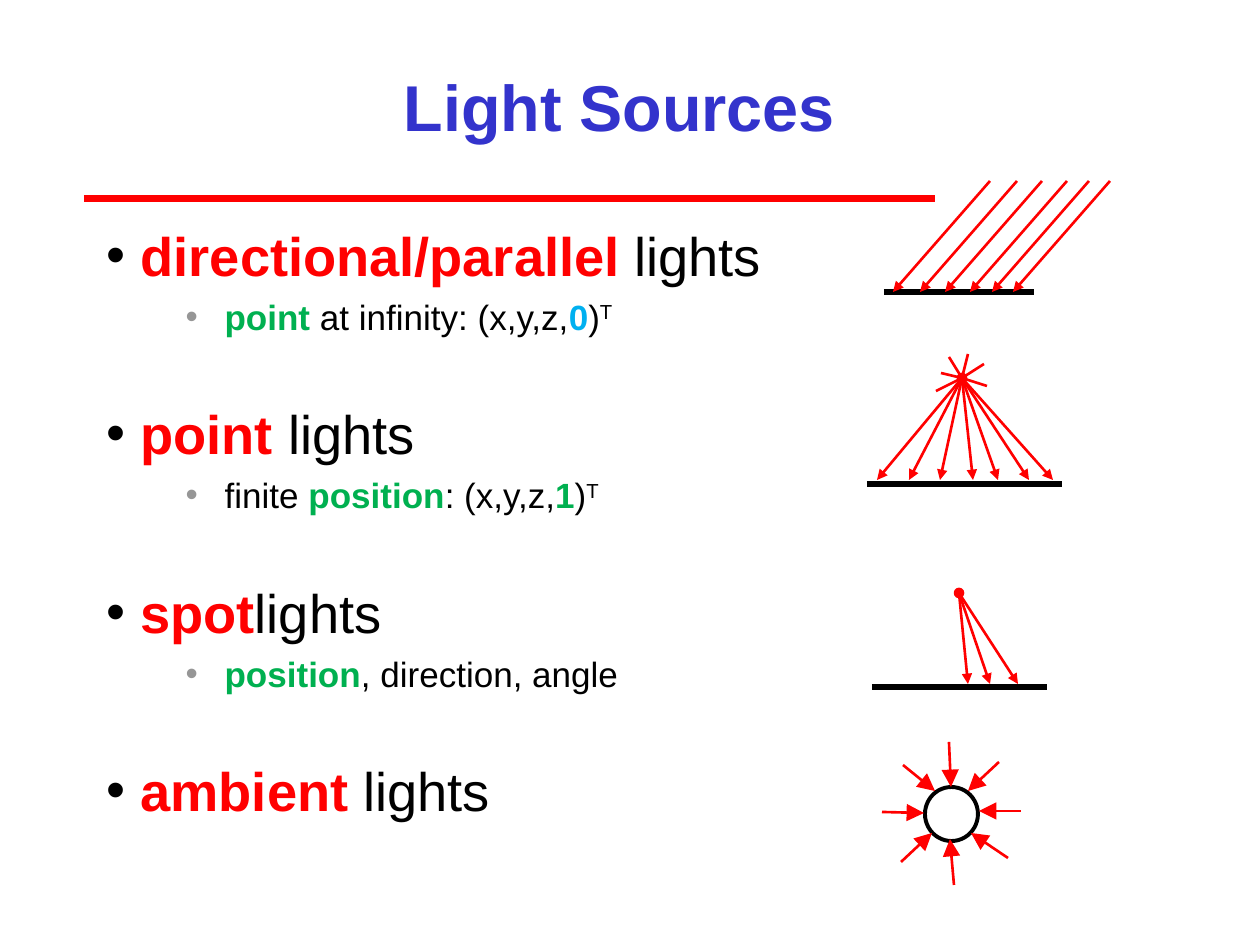
from dataclasses import dataclass

from lxml import etree
from pptx import Presentation
from pptx.dml.color import RGBColor
from pptx.enum.shapes import MSO_CONNECTOR, MSO_SHAPE
from pptx.enum.text import MSO_ANCHOR, MSO_AUTO_SIZE, PP_ALIGN
from pptx.oxml.ns import qn
from pptx.util import Emu, Pt

STRAIGHT = MSO_CONNECTOR.STRAIGHT
OVAL = MSO_SHAPE.OVAL
TOP, MIDDLE = MSO_ANCHOR.TOP, MSO_ANCHOR.MIDDLE
NO_AUTOFIT = MSO_AUTO_SIZE.NONE
CENTER, LEFT = PP_ALIGN.CENTER, PP_ALIGN.LEFT

PX_PER_INCH = 126


@dataclass(frozen=True)
class Theme:
    font: str = "Arial"
    title: str = "3333CC"
    red: str = "FF0000"
    green: str = "00B050"
    blue: str = "00B0F0"
    black: str = "000000"
    bullet_gray: str = "969696"
    title_size: int = 37
    heading_size: int = 31
    detail_size: int = 20
    ray_width: float = 1.5
    circle_width: float = 2.25
    ground_width: float = 3
    rule_width: float = 4


THEME = Theme()

# Each entry: heading runs, then detail runs; a run is (text, style)
LIGHTS = [
    ([("directional/parallel ", "red"), ("lights", "")],
     [("point", "green"), (" at infinity: (x,y,z,", ""), ("0", "blue"),
      (")", ""), ("T", "super")]),
    ([("point ", "red"), ("lights", "")],
     [("finite ", ""), ("position", "green"), (": (x,y,z,", ""),
      ("1", "green"), (")", ""), ("T", "super")]),
    ([("spot", "red"), ("lights", "")],
     [("position", "green"), (", direction, angle", "")]),
    ([("ambient ", "red"), ("lights", "")], []),
]


def px(length):
    return Emu(round(length * 914400 / PX_PER_INCH))


def color(value):
    return RGBColor.from_string(value)


def place(shape, left, top, width, height):
    shape.left, shape.top = px(left), px(top)
    shape.width, shape.height = px(width), px(height)


# Text
def add_run(paragraph, text, size, fill, bold=False):
    run = paragraph.add_run()
    run.text = text
    run.font.name = THEME.font
    run.font.size = Pt(size)
    run.font.bold = bold
    run.font.color.rgb = color(fill)
    return run


def set_bullet(paragraph, left, hanging, fill):
    properties = paragraph._p.get_or_add_pPr()
    properties.set("marL", str(px(left)))
    properties.set("indent", str(-px(hanging)))
    bullet_color = etree.SubElement(properties, qn("a:buClr"))
    etree.SubElement(bullet_color, qn("a:srgbClr")).set("val", fill)
    etree.SubElement(properties, qn("a:buFont")).set("typeface", THEME.font)
    etree.SubElement(properties, qn("a:buChar")).set("char", "•")


def add_styled_runs(paragraph, runs, size):
    for text, style in runs:
        highlighted = style in ("red", "green", "blue")
        fill = getattr(THEME, style) if highlighted else THEME.black
        run = add_run(paragraph, text, size, fill, highlighted)
        if style == "super":
            run.font._element.set("baseline", "30000")


def fill_title(title):
    place(title, 189, 32, 861, 147)
    title.text_frame.vertical_anchor = MIDDLE
    title.text_frame.auto_size = NO_AUTOFIT
    paragraph = title.text_frame.paragraphs[0]
    paragraph.alignment = CENTER
    add_run(paragraph, "Light Sources", THEME.title_size, THEME.title, True)


def fill_body(body):
    place(body, 94, 210, 687, 651)
    frame = body.text_frame
    frame.word_wrap = True
    frame.auto_size = NO_AUTOFIT
    frame.vertical_anchor = TOP
    frame.margin_top = px(12)
    for index, (heading_runs, detail_runs) in enumerate(LIGHTS):
        heading = frame.add_paragraph() if index else frame.paragraphs[0]
        heading.alignment = LEFT
        heading.space_before = Pt(36 if index else 0)
        set_bullet(heading, 34, 34, THEME.black)
        add_styled_runs(heading, heading_runs, THEME.heading_size)
        if detail_runs:
            detail = frame.add_paragraph()
            detail.level = 1
            detail.alignment = LEFT
            detail.space_before = Pt(4.7)
            set_bullet(detail, 118, 39, THEME.bullet_gray)
            add_styled_runs(detail, detail_runs, THEME.detail_size)


# Drawing elements
def add_line(shapes, start, end, fill, width, arrow_size=None):
    line = shapes.add_connector(STRAIGHT, *map(px, start + end))
    line.line.color.rgb = color(fill)
    line.line.width = Pt(width)
    if arrow_size:
        tail = etree.SubElement(line.line._get_or_add_ln(), qn("a:tailEnd"))
        tail.set("type", "triangle")
        tail.set("w", arrow_size)
        tail.set("len", arrow_size)
    etree.SubElement(line._element.spPr, qn("a:effectLst"))


def add_ray(shapes, start, end, arrow_size="med"):
    add_line(shapes, start, end, THEME.red, THEME.ray_width, arrow_size)


def add_ground(shapes, left, right, y):
    add_line(shapes, (left, y), (right, y), THEME.black, THEME.ground_width)


def add_circle(shapes, left, top, width, height, line, line_width, fill=None):
    circle = shapes.add_shape(OVAL, *map(px, (left, top, width, height)))
    circle.shadow.inherit = False
    if fill:
        circle.fill.solid()
        circle.fill.fore_color.rgb = color(fill)
    else:
        circle.fill.background()
    circle.line.color.rgb = color(line)
    circle.line.width = Pt(line_width)


def add_source_dot(shapes, center):
    x, y = center
    add_circle(shapes, x - 4, y - 4, 8, 8, THEME.red, THEME.ray_width, THEME.red)


# The four light diagrams
def draw_directional(shapes):
    add_ground(shapes, 884, 1034, 292)
    for x in (990, 1017, 1042, 1067, 1089, 1110):
        add_ray(shapes, (x, 181), (x - 97, 292))


def draw_point(shapes):
    source = (962, 378)
    add_ground(shapes, 867, 1062, 484)
    add_source_dot(shapes, source)
    for x in (877, 909, 940, 973, 998, 1029, 1053):
        add_ray(shapes, source, (x, 480))
    for end in ((936, 391), (941, 373), (949, 357),
                (968, 354), (984, 364), (987, 386)):
        add_ray(shapes, source, end, None)


def draw_spot(shapes):
    source = (959, 593)
    for x in (968, 990, 1018):
        add_ray(shapes, source, (x, 684))
    add_ground(shapes, 872, 1047, 687)
    add_source_dot(shapes, source)


def draw_ambient(shapes):
    add_circle(shapes, 925, 787, 53, 54, THEME.black, THEME.circle_width)
    for start, end in (
        ((882, 812), (924, 813)), ((1021, 811), (979, 811)),
        ((1008, 858), (971, 833)), ((901, 862), (932, 833)),
        ((954, 885), (950, 839)), ((999, 762), (968, 791)),
        ((903, 765), (935, 791)), ((949, 742), (951, 787)),
    ):
        add_ray(shapes, start, end, "lg")


def main():
    presentation = Presentation()
    presentation.slide_width, presentation.slide_height = px(1260), px(945)
    slide = presentation.slides.add_slide(presentation.slide_layouts[1])
    fill_title(slide.shapes.title)
    fill_body(slide.placeholders[1])
    add_line(slide.shapes, (84, 199), (935, 199), THEME.red, THEME.rule_width)
    for draw in (draw_directional, draw_point, draw_spot, draw_ambient):
        draw(slide.shapes.add_group_shape().shapes)
    presentation.save("out.pptx")


if __name__ == "__main__":
    main()
